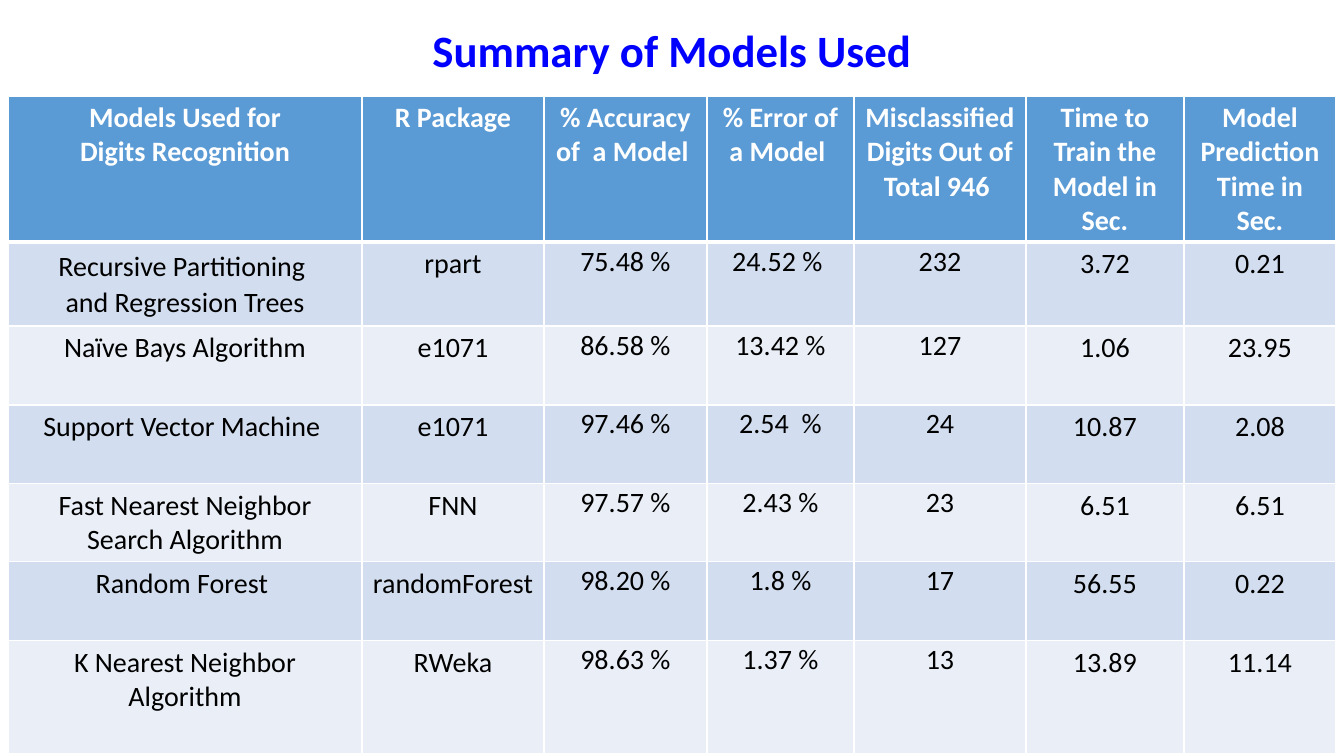
from dataclasses import dataclass

from lxml.etree import SubElement
from pptx import Presentation
from pptx.dml.color import RGBColor
from pptx.enum.text import MSO_ANCHOR, PP_ALIGN
from pptx.oxml.ns import qn
from pptx.util import Pt

EMU_PER_PX = 914400 / 100.8


def px(length):
    return round(length * EMU_PER_PX)


@dataclass(frozen=True)
class Theme:
    font: str = "Calibri"
    title_size: int = 32
    table_size: int = 20
    title: str = "0000FF"
    text: str = "000000"
    white: str = "FFFFFF"
    header: str = "5B9BD5"
    bands: tuple = ("D2DEEF", "EAEFF7")


class SlideBuilder:
    def __init__(self, slide, theme):
        self.slide = slide
        self.theme = theme

    def set_text(self, text_frame, text, size, color, bold, spacing=None):
        text_frame.text = text
        text_frame.word_wrap = True
        for paragraph in text_frame.paragraphs:
            paragraph.alignment = PP_ALIGN.CENTER
            paragraph.line_spacing = spacing
            for run in paragraph.runs:
                run.font.name = self.theme.font
                run.font.size = Pt(size)
                run.font.bold = bold
                run.font.color.rgb = RGBColor.from_string(color)

    def title(self, text, left, top, width, height):
        box = self.slide.shapes.add_textbox(px(left), px(top), px(width), px(height))
        box.text_frame.vertical_anchor = MSO_ANCHOR.MIDDLE
        self.set_text(box.text_frame, text, self.theme.title_size, self.theme.title, True, 0.9)

    def borders(self, cell, bottom_width):
        properties = cell._tc.get_or_add_tcPr()
        for side, width in (("L", 1), ("R", 1), ("T", 1), ("B", bottom_width)):
            line = SubElement(properties, qn(f"a:ln{side}"), w=str(Pt(width)))
            fill = SubElement(line, qn("a:solidFill"))
            SubElement(fill, qn("a:srgbClr"), val=self.theme.white)

    def cell(self, cell, text, fill, color, bold, margins, spacing, bottom_width):
        self.borders(cell, bottom_width)
        cell.fill.solid()
        cell.fill.fore_color.rgb = RGBColor.from_string(fill)
        horizontal, vertical = margins
        cell.margin_left = cell.margin_right = px(horizontal)
        cell.margin_top = cell.margin_bottom = px(vertical)
        self.set_text(cell.text_frame, text, self.theme.table_size, color, bold, spacing)

    def table(self, rows, left, top, widths, heights):
        theme = self.theme
        frame = self.slide.shapes.add_table(
            len(rows), len(widths), px(left), px(top), px(sum(widths)), px(sum(heights)))
        table = frame.table
        for column, width in zip(table.columns, widths):
            column.width = px(width)
        for row, height in zip(table.rows, heights):
            row.height = px(height)
        for row_index, row in enumerate(rows):
            header = row_index == 0
            fill = theme.header if header else theme.bands[(row_index - 1) % 2]
            for column_index, text in enumerate(row):
                # Percentages and counts sit tight to the top of their cells
                tight = not header and column_index in (2, 3, 4)
                loose_lines = tight or (not header and "\n" in text)
                self.cell(
                    table.cell(row_index, column_index), text, fill,
                    theme.white if header else theme.text, header,
                    margins=(7, 0) if tight else (10, 5),
                    spacing=1.07 if loose_lines else None,
                    bottom_width=3 if header else 1)


MODEL_ROWS = [
    ("Models Used for\nDigits Recognition", "R Package", "% Accuracy\nof  a Model  ",
     "% Error of a Model ", "Misclassified Digits Out of Total 946 ",
     "Time to Train the Model in Sec.", "Model Prediction Time in Sec."),
    ("Recursive Partitioning \nand Regression Trees", "rpart",
     "75.48 %", "24.52 % ", "232", "3.72", "0.21"),
    ("Naïve Bays Algorithm", "e1071", "86.58 %", "13.42 %", "127", "1.06", "23.95"),
    ("Support Vector Machine ", "e1071", "97.46 %", "2.54  %", "24", "10.87", "2.08"),
    ("Fast Nearest Neighbor Search Algorithm", "FNN",
     "97.57 %", "2.43 %", "23", "6.51", "6.51"),
    ("Random Forest ", "randomForest", "98.20 %", "1.8 %", "17", "56.55", "0.22"),
    ("K Nearest Neighbor Algorithm", "RWeka", "98.63 %", "1.37 %", "13", "13.89", "11.14"),
]
COLUMN_WIDTHS = (354, 182, 163, 147, 172, 158, 152)
ROW_HEIGHTS = (146, 84, 79, 79, 78, 79, 113)


def main():
    presentation = Presentation()
    presentation.slide_width = px(1344)
    presentation.slide_height = px(756)
    slide = presentation.slides.add_slide(presentation.slide_layouts[6])
    builder = SlideBuilder(slide, Theme())

    # Heading
    builder.title("Summary of Models Used", 8, 25, 1328, 57)

    # Model comparison
    builder.table(MODEL_ROWS, 8, 96, COLUMN_WIDTHS, ROW_HEIGHTS)

    presentation.save("out.pptx")


if __name__ == "__main__":
    main()
